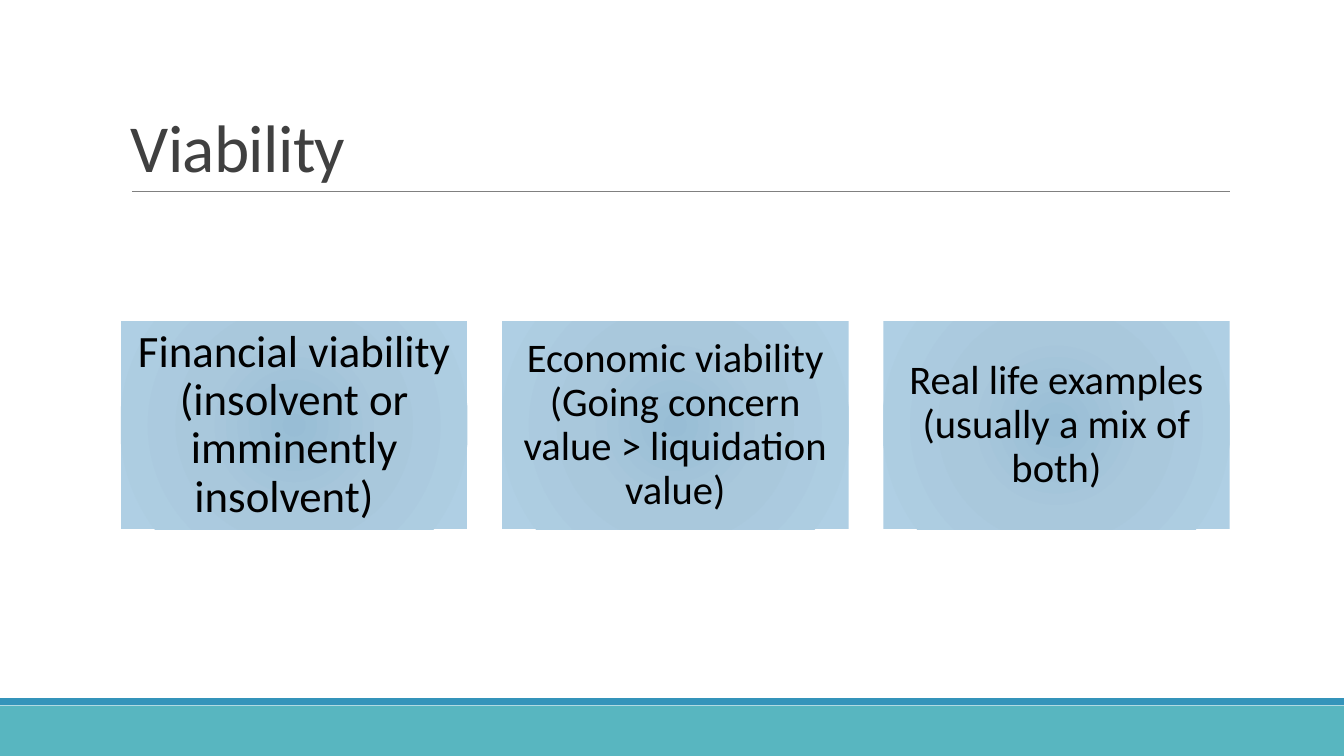
from lxml import etree
from pptx import Presentation
from pptx.dml.color import RGBColor
from pptx.enum.shapes import MSO_CONNECTOR, MSO_SHAPE
from pptx.enum.text import MSO_ANCHOR, PP_ALIGN
from pptx.oxml.ns import qn
from pptx.util import Pt

RECTANGLE = MSO_SHAPE.RECTANGLE
STRAIGHT = MSO_CONNECTOR.STRAIGHT
MIDDLE = MSO_ANCHOR.MIDDLE
BOTTOM = MSO_ANCHOR.BOTTOM
CENTER = PP_ALIGN.CENTER

FONT = "Calibri"
COLORS = {
    "footer": "58B6C0",
    "stripe": "3494BA",
    "rule": "808080",
    "title": "404040",
    "text": "000000",
}
CARD_GRADIENT = [(0, "98BDD5"), (45, "A9C8DC"), (100, "AFCFE4")]

PAGE_WIDTH, PAGE_HEIGHT = 960, 540
CARD_LEFT, CARD_TOP = 86.4, 229.5
CARD_WIDTH, CARD_HEIGHT, CARD_STEP = 247.5, 148.5, 272.25
CARDS = [
    ("Financial viability (insolvent or imminently insolvent)  ", 32),
    ("Economic viability (Going concern value > liquidation value)", 29),
    ("Real life examples (usually a mix of both)", 29),
]


def color(name):
    return RGBColor.from_string(COLORS[name])


def add_rectangle(page, left, top, width, height):
    box = page.shapes.add_shape(RECTANGLE, Pt(left), Pt(top), Pt(width), Pt(height))
    box.shadow.inherit = False
    box.line.fill.background()
    return box


def add_band(page, top, height, fill):
    band = add_rectangle(page, 0, top, PAGE_WIDTH, height)
    band.fill.solid()
    band.fill.fore_color.rgb = color(fill)


def add_rule(page, left, right, top):
    rule = page.shapes.add_connector(STRAIGHT, Pt(left), Pt(top), Pt(right), Pt(top))
    rule.line.color.rgb = color("rule")
    rule.line.width = Pt(0.5)
    etree.SubElement(rule._element.spPr, qn("a:effectLst"))


def write_text(box, text, size, fill, anchor, spacing):
    frame = box.text_frame
    frame.word_wrap = True
    frame.vertical_anchor = anchor
    frame.text = text
    para = frame.paragraphs[0]
    para.line_spacing = spacing
    span = para.runs[0]
    span.font.name = FONT
    span.font.size = Pt(size)
    span.font.color.rgb = color(fill)
    return para


def add_title(page, text):
    box = page.shapes.add_textbox(Pt(86.4), Pt(22.5), Pt(792), Pt(114.25))
    para = write_text(box, text, 48, "title", BOTTOM, 0.85)
    para.runs[0].font._element.set("spc", "-50")


def fill_radial(box, stops):
    box.fill.gradient()
    gradient = box._element.spPr.find(qn("a:gradFill"))
    for child in list(gradient):
        gradient.remove(child)
    stop_list = etree.SubElement(gradient, qn("a:gsLst"))
    for position, value in stops:
        stop = etree.SubElement(stop_list, qn("a:gs"), pos=str(position * 1000))
        etree.SubElement(stop, qn("a:srgbClr"), val=value)
    circle = etree.SubElement(gradient, qn("a:path"), path="circle")
    sides = dict.fromkeys("ltrb", "100000")
    etree.SubElement(circle, qn("a:fillToRect"), sides)


def add_card(page, left, text, size):
    card = add_rectangle(page, left, CARD_TOP, CARD_WIDTH, CARD_HEIGHT)
    fill_radial(card, CARD_GRADIENT)
    frame = card.text_frame
    inset = Pt(size * 0.3)
    frame.margin_left = frame.margin_right = inset
    frame.margin_top = frame.margin_bottom = inset
    para = write_text(card, text, size, "text", MIDDLE, 0.9)
    para.alignment = CENTER


def main():
    deck = Presentation()
    deck.slide_width, deck.slide_height = Pt(PAGE_WIDTH), Pt(PAGE_HEIGHT)
    page = deck.slides.add_slide(deck.slide_layouts[6])
    add_band(page, 504, 36, "footer")
    add_band(page, 498.75, 5.05, "stripe")
    add_rule(page, 94.3, 878.75, 136.8)
    add_title(page, "Viability")
    for index, (text, size) in enumerate(CARDS):
        add_card(page, CARD_LEFT + index * CARD_STEP, text, size)
    deck.save("out.pptx")


if __name__ == "__main__":
    main()
